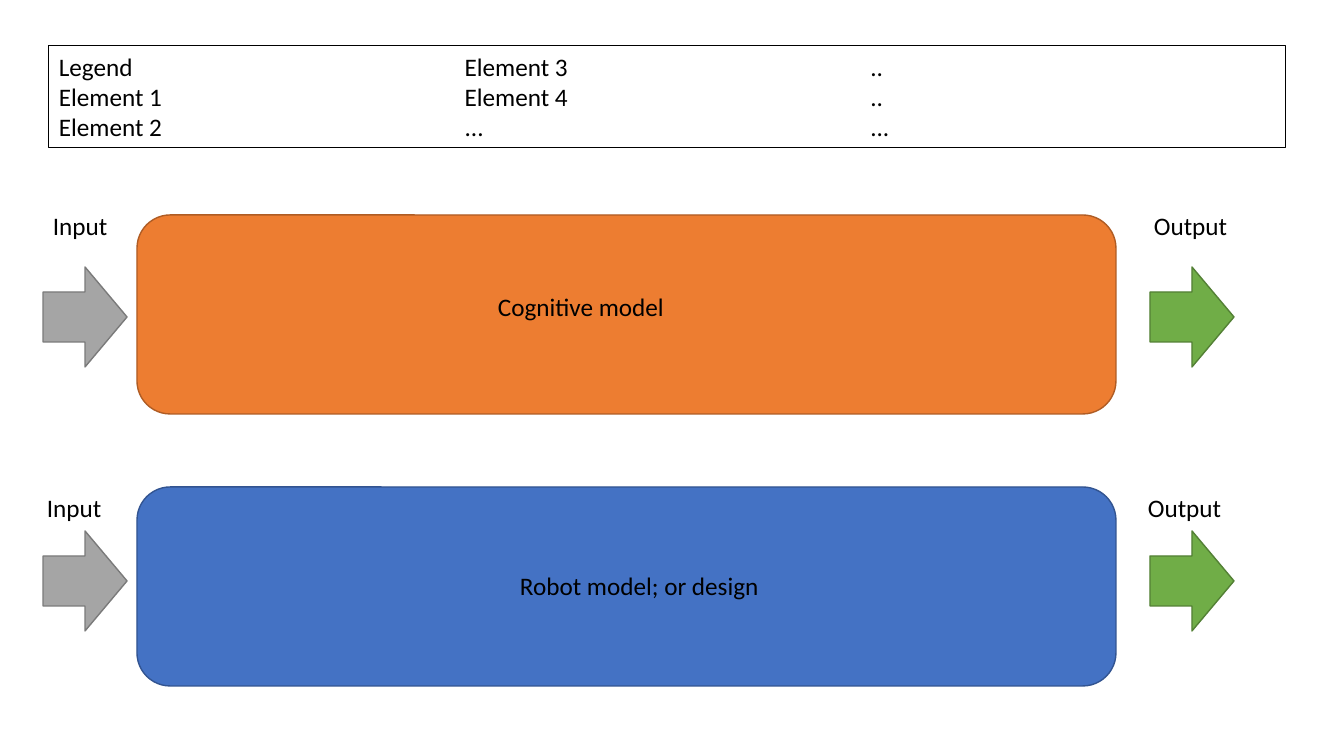
from dataclasses import dataclass

from pptx import Presentation
from pptx.dml.color import RGBColor
from pptx.enum.shapes import MSO_SHAPE as Preset
from pptx.enum.text import MSO_ANCHOR as Anchor, MSO_AUTO_SIZE as AutoSize, PP_ALIGN as Align
from pptx.util import Emu, Pt

EMU_PER_PIXEL = 914400 / 100.8


@dataclass(frozen=True)
class Theme:
    """Colours as (fill, line) pairs, type and line widths."""
    font: str = "Calibri"
    text_size: float = 18
    text: str = "000000"
    cognitive: tuple = ("ED7D31", "AF5C24")
    robot: tuple = ("4472C4", "325491")
    input: tuple = ("A5A5A5", "7A7A7A")
    output: tuple = ("70AD47", "538035")
    legend: tuple = (None, "000000")
    line_width: float = 1
    legend_line_width: float = 0.75


def pixels(*lengths):
    """Turn pixel lengths into EMU."""
    return [Emu(round(length * EMU_PER_PIXEL)) for length in lengths]


class SlideBuilder:
    """Draws styled elements on one slide."""

    def __init__(self, slide, theme):
        """Keep the slide and its style."""
        self.slide = slide
        self.theme = theme

    def shape(self, preset, box, colours, line_width=None):
        """Add a preset shape with its fill and outline."""
        shape = self.slide.shapes.add_shape(preset, *pixels(*box))
        shape.shadow.inherit = False
        fill, line = colours
        if fill:
            shape.fill.solid()
            shape.fill.fore_color.rgb = RGBColor.from_string(fill)
        else:
            shape.fill.background()
        shape.line.color.rgb = RGBColor.from_string(line)
        shape.line.width = Pt(line_width or self.theme.line_width)
        return shape

    def add_lines(self, shape, lines):
        """Set left-aligned lines from the top of a shape."""
        frame = shape.text_frame
        frame.word_wrap = True
        frame.auto_size = AutoSize.SHAPE_TO_FIT_TEXT
        frame.vertical_anchor = Anchor.TOP
        for index, line in enumerate(lines):
            paragraph = frame.add_paragraph() if index else frame.paragraphs[0]
            paragraph.alignment = Align.LEFT
            run = paragraph.add_run()
            run.text = line
            run.font.name = self.theme.font
            run.font.size = Pt(self.theme.text_size)
            run.font.color.rgb = RGBColor.from_string(self.theme.text)

    def label(self, text, left, top, width):
        """Add a one-line text box."""
        self.add_lines(self.slide.shapes.add_textbox(*pixels(left, top, width, 40)), [text])

    def legend(self, box, columns):
        """Add an outlined box whose text flows through equal columns."""
        shape = self.shape(Preset.RECTANGLE, box, self.theme.legend,
                           self.theme.legend_line_width)
        self.add_lines(shape, [line for column in columns for line in column])
        shape.text_frame._txBody.bodyPr.set("numCol", str(len(columns)))

    def model(self, text, colours, top, text_left, text_top):
        """Add a model block and its name."""
        self.shape(Preset.ROUNDED_RECTANGLE, (137, top, 979, 199), colours)
        self.label(text, text_left, text_top, 343)

    def flow(self, text, colours, arrow_left, arrow_top, text_left, text_top):
        """Add an arrow and the label above it."""
        self.shape(Preset.RIGHT_ARROW, (arrow_left, arrow_top, 84, 100), colours)
        self.label(text, text_left, text_top, 96)


def main():
    """Build and save the slide."""
    presentation = Presentation()
    presentation.slide_width, presentation.slide_height = pixels(1344, 756)
    theme = Theme()
    slide = presentation.slides.add_slide(presentation.slide_layouts[6])
    builder = SlideBuilder(slide, theme)

    builder.model("Robot model; or design", theme.robot, 487, 510, 565)
    builder.model("Cognitive model", theme.cognitive, 215, 488, 286)

    # Each row: arrow top, label top, label shift to the left
    for arrow_top, text_top, shift in ((267, 205, 0), (531, 487, 6)):
        builder.flow("Input", theme.input, 43, arrow_top, 43 - shift, text_top)
        builder.flow("Output", theme.output, 1150, arrow_top, 1144 - shift, text_top)

    builder.legend((49, 46, 1237, 102), (
        ("Legend", "Element 1", "Element 2"),
        ("Element 3", "Element 4", "..."),
        ("..", "..", "..."),
    ))
    presentation.save("out.pptx")


main()
